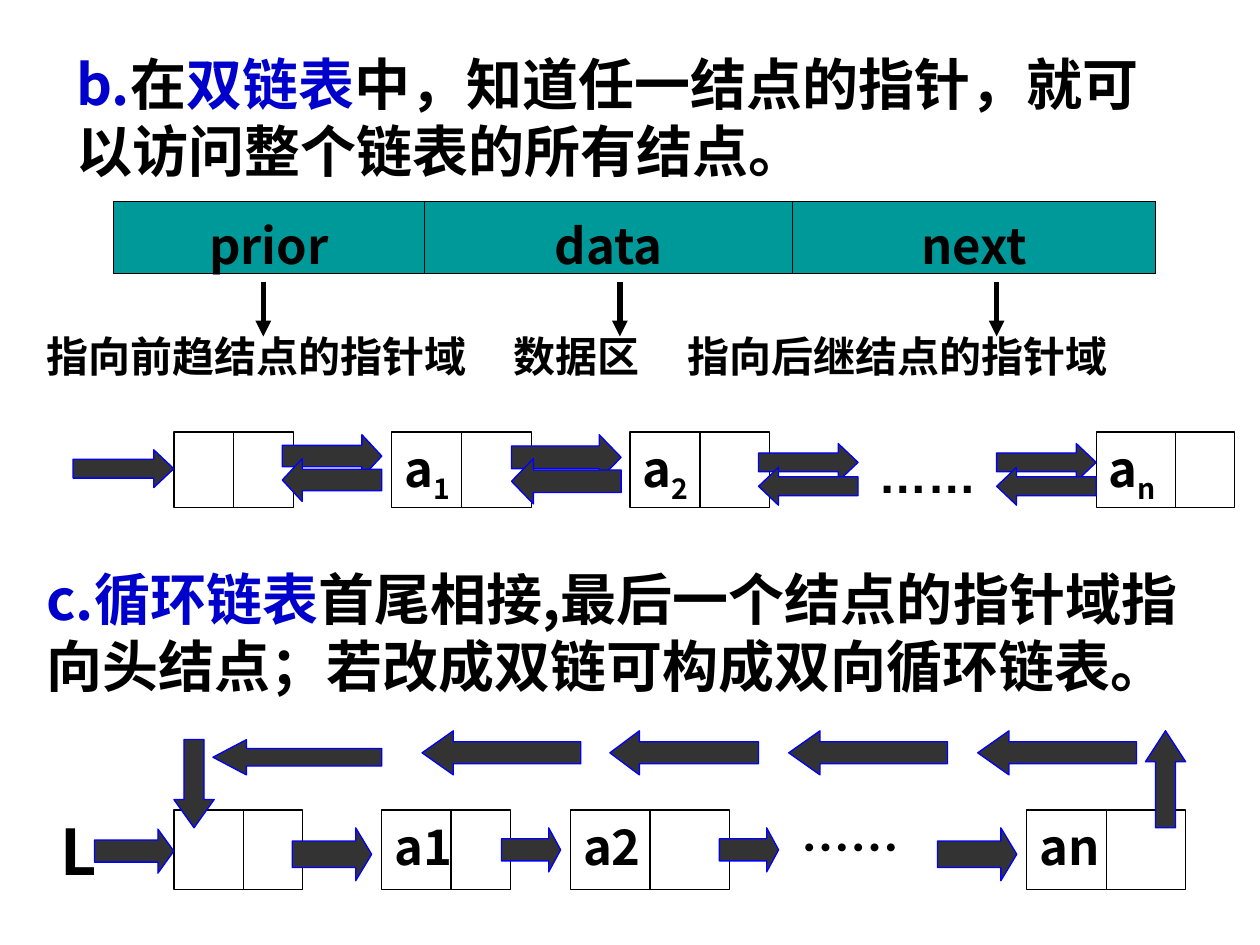
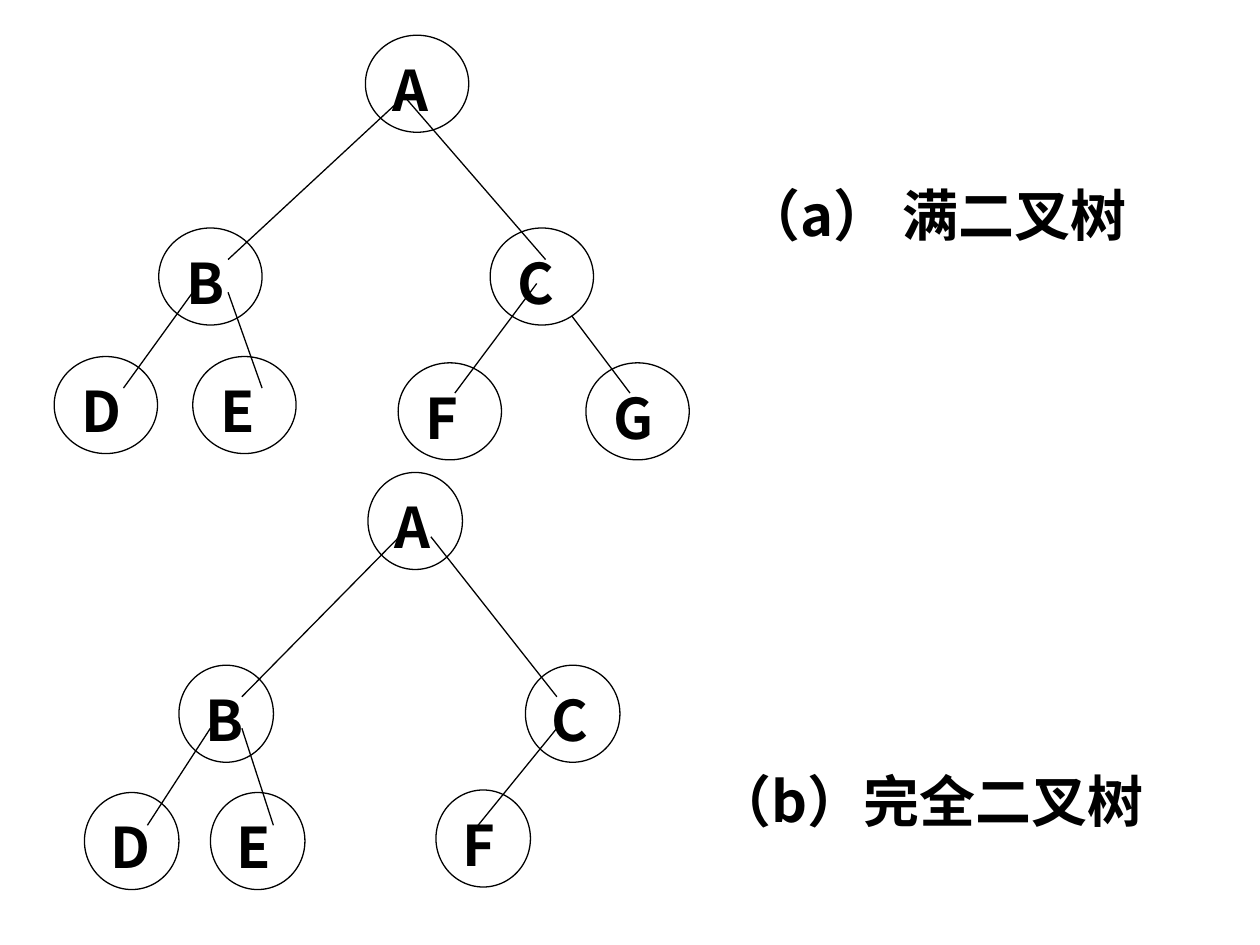
from lxml.etree import SubElement
from pptx import Presentation
from pptx.dml.color import RGBColor
from pptx.enum.shapes import MSO_CONNECTOR, MSO_SHAPE
from pptx.enum.text import MSO_ANCHOR, PP_ALIGN
from pptx.oxml.ns import qn
from pptx.util import Inches, Pt

COLORS = {"ink": "000000", "key": "0000CC", "paper": "FFFFFF",
          "teal": "009999", "arrow": "333333", "arrow_edge": "0000FF"}
FONT = "Noto Sans CJK SC"

# ---- Slide 1 content: linked lists ----
DOUBLE_TEXT = [("b.", "key"), ("在", "ink"), ("双链表", "key"),
               ("中，知道任一结点的指针，就可以访问整个链表的所有结点。", "ink")]
CIRCULAR_TEXT = [("c.循环链表", "key"),
                 ("首尾相接,最后一个结点的指针域指向头结点；若改成双链可构成双向循环链表。", "ink")]
FIELDS = [("prior", 2.47), ("data", 2.92), ("next", 2.88)]
FIELD_NOTES = "指向前趋结点的指针域\t数据区\t指向后继结点的指针域"
FIELD_NOTE_TABS = [3.71, 5.09]
FIELD_ARROWS = [2.09, 4.92, 7.91]

# Nodes: left, width, divider x, label, subscript
DOUBLE_NODES = [(1.38, 0.95, 1.85, "", ""), (3.11, 1.11, 3.66, "a", "1"),
                (5, 1.11, 5.56, "a", "2"), (8.7, 1.1, 9.33, "a", "n")]
CIRCULAR_NODES = [(1.38, 1.02, 1.93, "", ""), (3.03, 1.02, 3.58, "a1", ""),
                  (4.53, 1.26, 5.16, "a2", ""), (8.15, 1.26, 8.78, "an", "")]
# Forward links: left, top, width, height; each has a backward link below it
DOUBLE_LINKS = [(2.24, 3.45, 0.79, 0.34), (4.06, 3.45, 0.87, 0.36),
                (6.02, 3.52, 0.79, 0.3), (7.91, 3.52, 0.79, 0.3)]
BACK_DROP = 0.19
# Single arrows: direction, left, top, width, height, head ratio
ARROWS = [("right", 0.58, 3.57, 0.8, 0.3, 0.53),
          ("right", 0.75, 6.58, 0.63, 0.35, 0.36),
          ("right", 2.32, 6.57, 0.63, 0.42, 0.3),
          ("right", 3.98, 6.57, 0.47, 0.35, 0.27),
          ("right", 5.71, 6.57, 0.47, 0.35, 0.27),
          ("right", 7.44, 6.57, 0.63, 0.42, 0.3),
          ("up", 9.09, 5.8, 0.32, 0.77, 0.77),
          ("left", 7.76, 5.8, 1.26, 0.35, 0.71),
          ("left", 6.26, 5.8, 1.26, 0.35, 0.71),
          ("left", 4.84, 5.8, 1.18, 0.35, 0.67),
          ("left", 3.35, 5.8, 1.26, 0.35, 0.71),
          ("left", 1.69, 5.87, 1.34, 0.28, 0.95),
          ("down", 1.38, 5.87, 0.32, 0.7, 0.7)]
ARROW_SHAPES = {"right": MSO_SHAPE.RIGHT_ARROW, "left": MSO_SHAPE.LEFT_ARROW,
                "up": MSO_SHAPE.UP_ARROW, "down": MSO_SHAPE.DOWN_ARROW}

# ---- Slide 2 content: binary trees ----
FULL_TREE = {
    "node_width": 0.82,
    "nodes": {"A": (2.9, 0.28), "B": (1.26, 1.81), "C": (3.89, 1.81), "D": (0.43, 2.83),
              "E": (1.53, 2.83), "F": (3.16, 2.88), "G": (4.65, 2.88)},
    "edges": [(3.18, 0.79, 1.81, 2.06), (3.23, 0.79, 4.33, 2.06), (1.53, 2.32, 0.98, 3.08),
              (1.81, 2.32, 2.08, 3.08), (4.26, 2.25, 3.61, 3.12), (4.54, 2.51, 5, 3.12)],
}
COMPLETE_TREE = {
    "node_width": 0.75,
    "nodes": {"A": (2.92, 3.75), "B": (1.42, 5.28), "C": (4.17, 5.28), "D": (0.67, 6.29),
              "E": (1.67, 6.29), "F": (3.46, 6.27)},
    "edges": [(3.17, 4.26, 1.92, 5.53), (3.42, 4.26, 4.42, 5.53), (1.67, 5.78, 1.17, 6.55),
              (1.92, 5.78, 2.17, 6.55), (4.42, 5.78, 3.77, 6.58)],
}


def color(name):
    return RGBColor.from_string(COLORS[name])


def add_span(para, text, size, ink="ink", font=FONT, subscript=False):
    span = para.add_run()
    span.text = text
    span.font.size, span.font.bold, span.font.name = Pt(size), True, font
    span.font.color.rgb = color(ink)
    properties = span._r.get_or_add_rPr()
    SubElement(properties, qn("a:ea")).set("typeface", font)
    if subscript:
        properties.set("baseline", "-25000")


def add_text(page, place, spans, size, anchor=MSO_ANCHOR.TOP, align=PP_ALIGN.LEFT,
             wrap=True, font=FONT, tabs=()):
    box = page.shapes.add_textbox(*map(Inches, place))
    frame = box.text_frame
    frame.word_wrap, frame.vertical_anchor = wrap, anchor
    para = frame.paragraphs[0]
    para.alignment = align
    if tabs:
        stops = SubElement(para._p.get_or_add_pPr(), qn("a:tabLst"))
        for stop in tabs:
            tab = SubElement(stops, qn("a:tab"))
            tab.set("pos", str(Inches(stop)))
            tab.set("algn", "l")
    for text, ink in spans:
        add_span(para, text, size, ink, font)


def add_outline(page, kind, place, fill=None, edge="ink"):
    shape = page.shapes.add_shape(kind, *map(Inches, place))
    shape.shadow.inherit = False
    if fill:
        shape.fill.solid()
        shape.fill.fore_color.rgb = color(fill)
    else:
        shape.fill.background()
    shape.line.color.rgb, shape.line.width = color(edge), Pt(0.75)
    return shape


def label_shape(shape, align):
    frame = shape.text_frame
    frame.word_wrap, frame.vertical_anchor = True, MSO_ANCHOR.TOP
    para = frame.paragraphs[0]
    para.alignment = align
    return para


def add_line(page, start_x, start_y, end_x, end_y, width=0.75, head=False):
    line = page.shapes.add_connector(
        MSO_CONNECTOR.STRAIGHT, *map(Inches, (start_x, start_y, end_x, end_y)))
    line.line.color.rgb, line.line.width = color("ink"), Pt(width)
    if head:
        SubElement(line.line._get_or_add_ln(), qn("a:tailEnd")).set("type", "triangle")
    SubElement(line._element.spPr, qn("a:effectLst"))
    return line


def add_arrow(page, direction, left, top, width, height, ratio):
    arrow = add_outline(page, ARROW_SHAPES[direction], (left, top, width, height),
                        "arrow", "arrow_edge")
    arrow.adjustments[0], arrow.adjustments[1] = 0.5, ratio


def add_nodes(page, nodes, top, height):
    for left, width, divider, label, subscript in nodes:
        box = add_outline(page, MSO_SHAPE.RECTANGLE, (left, top, width, height),
                          None if label else "paper")
        if label:
            para = label_shape(box, PP_ALIGN.LEFT)
            add_span(para, label, 28)
            if subscript:
                add_span(para, subscript, 28, subscript=True)
        line = add_line(page, divider, top, divider, top + height)
        if abs(left + width / 2 - divider) < 0.01:
            line.begin_connect(box, 0)
            line.end_connect(box, 2)


def add_field_table(page):
    total = sum(width for _, width in FIELDS)
    table = page.shapes.add_table(1, len(FIELDS), *map(Inches, (0.9, 1.6, total, 0.57))).table
    table.first_row = table.horz_banding = False
    for index, (name, width) in enumerate(FIELDS):
        table.columns[index].width = Inches(width)
        cell = table.cell(0, index)
        cell.margin_top, cell.margin_bottom = Inches(0.05), 0
        para = cell.text_frame.paragraphs[0]
        para.alignment = PP_ALIGN.CENTER
        add_span(para, name, 28)
        properties = cell._tc.get_or_add_tcPr()
        for side in ("a:lnL", "a:lnR", "a:lnT", "a:lnB"):
            border = SubElement(properties, qn(side))
            border.set("w", str(Pt(0.45)))
            fill = SubElement(border, qn("a:solidFill"))
            SubElement(fill, qn("a:srgbClr")).set("val", COLORS["ink"])
        cell.fill.solid()
        cell.fill.fore_color.rgb = color("teal")


def add_tree(page, tree):
    for edge in tree["edges"]:
        add_line(page, *edge)
    for name, (left, top) in tree["nodes"].items():
        node = add_outline(page, MSO_SHAPE.OVAL, (left, top, tree["node_width"], 0.77))
        add_span(label_shape(node, PP_ALIGN.JUSTIFY), name, 32)


def build_lists(page):
    # Statements
    add_text(page, (0.51, 0.34, 9.06, 1.17), DOUBLE_TEXT, 32, MSO_ANCHOR.MIDDLE)
    add_text(page, (0.27, 4.43, 9.53, 1.17), CIRCULAR_TEXT, 32)
    # Fields of a node
    add_field_table(page)
    for x in FIELD_ARROWS:
        add_line(page, x, 2.24, x, 2.67, 3, head=True)
    add_text(page, (0.27, 2.57, 9.61, 0.5), [(FIELD_NOTES, "ink")], 24,
             MSO_ANCHOR.MIDDLE, tabs=FIELD_NOTE_TABS)
    # Doubly linked list
    add_nodes(page, DOUBLE_NODES, 3.43, 0.6)
    for left, top, width, height in DOUBLE_LINKS:
        ratio = 0.2 * width / height
        add_arrow(page, "right", left, top, width, height, ratio)
        add_arrow(page, "left", left, top + BACK_DROP, width, height, ratio)
    add_text(page, (6.76, 3.48, 1.2, 0.57), [("……", "ink")], 28,
             align=PP_ALIGN.CENTER, wrap=False, font="Arial")
    # Circular list
    add_nodes(page, CIRCULAR_NODES, 6.43, 0.63)
    add_text(page, (6.26, 6.44, 1.18, 0.69), [("……", "ink")], 28)
    add_text(page, (0.38, 6.4, 0.48, 0.7), [("L", "ink")], 36, MSO_ANCHOR.MIDDLE, wrap=False)
    for arrow in ARROWS:
        add_arrow(page, *arrow)


def build_trees(page):
    add_tree(page, FULL_TREE)
    add_tree(page, COMPLETE_TREE)
    add_text(page, (5.58, 6.03, 3.7, 0.64), [("（b）完全二叉树", "ink")], 32, MSO_ANCHOR.MIDDLE)
    add_text(page, (5.65, 1.38, 3.55, 0.64), [("（a） 满二叉树", "ink")], 32,
             align=PP_ALIGN.CENTER, wrap=False)


def main():
    deck = Presentation()
    deck.slide_width, deck.slide_height = Inches(10), Inches(7.5)
    for build in (build_lists, build_trees):
        build(deck.slides.add_slide(deck.slide_layouts[6]))
    deck.save("out.pptx")


if __name__ == "__main__":
    main()
